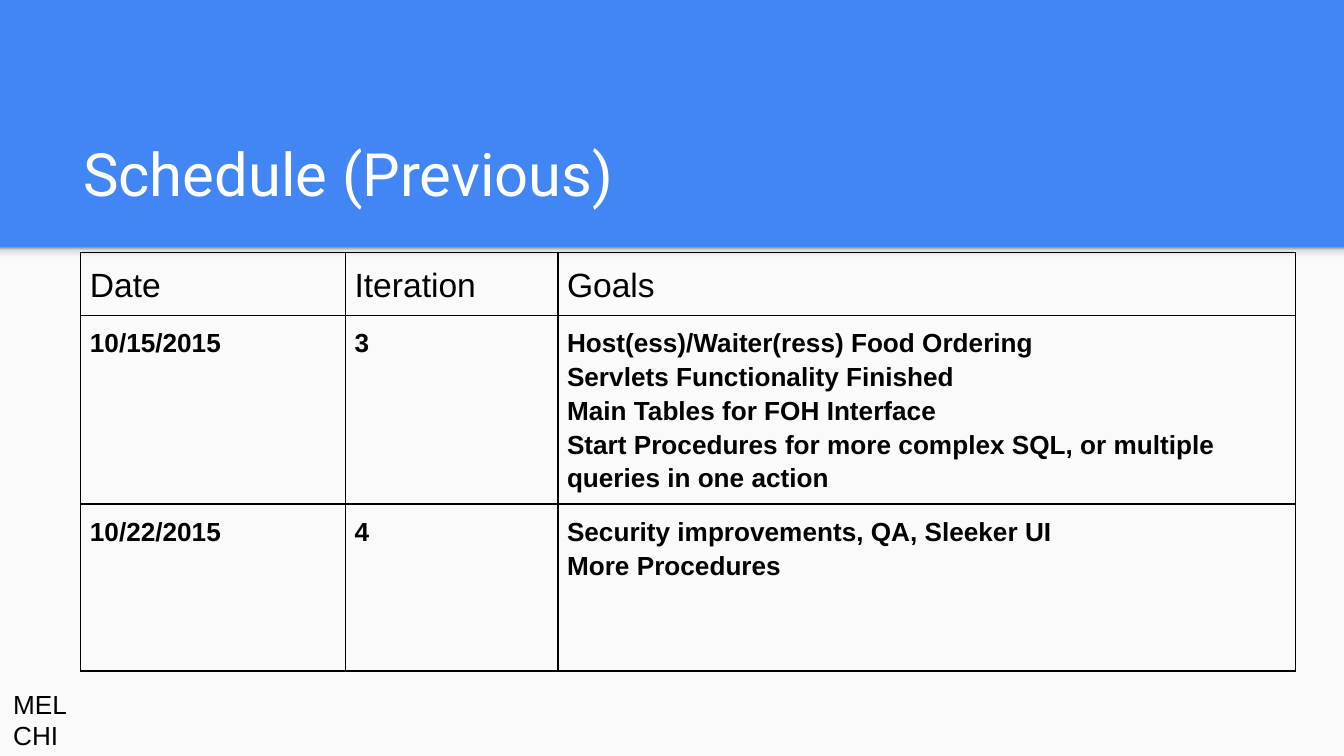
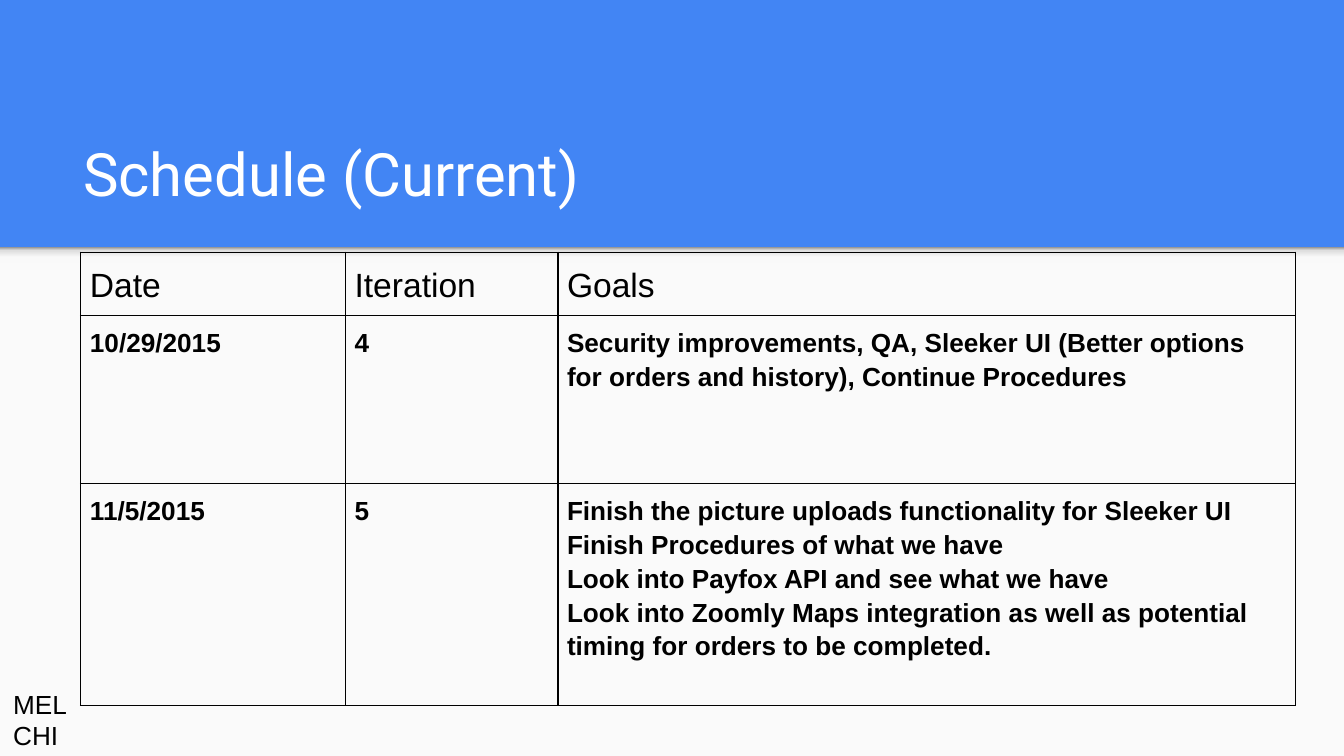
import pptx
import pptx.util
import pptx.dml.color
import pptx.enum.shapes
import pptx.enum.text
import pptx.oxml
import pptx.oxml.ns

Pt = pptx.util.Pt
RGB = pptx.dml.color.RGBColor

HEAD = ("Date", "Iteration", "Goals")
PAGES = [
    {
        "title": "Schedule (Previous)",
        "rows": [
            ("10/15/2015", "3", [
                "Host(ess)/Waiter(ress) Food Ordering",
                "Servlets Functionality Finished",
                "Main Tables for FOH Interface",
                "Start Procedures for more complex SQL, or multiple queries in one action",
            ]),
            ("10/22/2015", "4", [
                "Security improvements, QA, Sleeker UI",
                "More Procedures",
            ]),
        ],
        "tall": (101, 89.5),
    },
    {
        "title": "Schedule (Current)",
        "rows": [
            ("10/29/2015", "4", [
                "Security improvements, QA, Sleeker UI (Better options for orders and history), "
                "Continue Procedures",
            ]),
            ("11/5/2015", "5", [
                "Finish the picture uploads functionality for Sleeker UI",
                "Finish Procedures of what we have",
                "Look into Payfox API and see what we have",
                "Look into Zoomly Maps integration as well as potential timing for orders "
                "to be completed.",
            ]),
        ],
        "tall": (90, 119),
    },
]
TEAM = "MEL CHI"

BLUE = RGB(0x42, 0x85, 0xF4)
PALE = RGB(0xFA, 0xFA, 0xFA)
WHITE = RGB(0xFF, 0xFF, 0xFF)
BLACK = RGB(0, 0, 0)
FADE = [
    (0, RGB(0xF9, 0xF9, 0xF9)),
    (36, RGB(0xF9, 0xF9, 0xF9)),
    (80, RGB(0xDE, 0xDE, 0xDE)),
    (100, RGB(0x99, 0x99, 0x99)),
]

WIDE, HIGH = 720, 405
EDGE = 132.5
COLS = (141.8, 113.8, 395.3)
TOP = 33.8
NS = pptx.oxml.ns.nsdecls("a")


def style(frame, font, size, color, bold=False, space=None):
    for para in frame.paragraphs:
        para.alignment = pptx.enum.text.PP_ALIGN.LEFT
        if space:
            para.line_spacing = space
        for run in para.runs:
            run.font.name = font
            run.font.size = Pt(size)
            run.font.bold = bold
            run.font.color.rgb = color


def inset(part, size):
    part.margin_left = part.margin_right = Pt(size)
    part.margin_top = part.margin_bottom = Pt(size)


def block(slide, high):
    kind = pptx.enum.shapes.MSO_SHAPE.RECTANGLE
    shape = slide.shapes.add_shape(kind, 0, Pt(EDGE), Pt(WIDE), Pt(high))
    shape.shadow.inherit = False
    shape.line.fill.background()
    return shape


def panel(slide):
    sheet = block(slide, HIGH - EDGE)
    sheet.fill.solid()
    sheet.fill.fore_color.rgb = PALE
    band = block(slide, 8.6)
    band.fill.gradient()
    stops = "".join(
        f'<a:gs pos="{pos * 1000}"><a:srgbClr val="{color}"/></a:gs>' for pos, color in FADE
    )
    fill = pptx.oxml.parse_xml(
        f'<a:gradFill {NS} rotWithShape="0"><a:gsLst>{stops}</a:gsLst>'
        '<a:lin ang="16200000" scaled="0"/></a:gradFill>'
    )
    props = band.element.spPr
    props.replace(props.find(pptx.oxml.ns.qn("a:gradFill")), fill)


def heading(slide, text):
    title = slide.shapes.title
    title.left, title.top = Pt(37.4), Pt(58.3)
    title.width, title.height = Pt(647.3), Pt(60.5)
    frame = title.text_frame
    frame.text = text
    frame.word_wrap = True
    frame.auto_size = pptx.enum.text.MSO_AUTO_SIZE.NONE
    frame.vertical_anchor = pptx.enum.text.MSO_ANCHOR.BOTTOM
    inset(frame, 7.2)
    style(frame, "Roboto", 32, WHITE, space=1.2)


def border(cell):
    props = cell._tc.get_or_add_tcPr()
    for spot, side in enumerate(("lnL", "lnR", "lnT", "lnB")):
        props.insert(spot, pptx.oxml.parse_xml(
            f'<a:{side} {NS} w="12700"><a:solidFill><a:srgbClr val="{BLACK}"/>'
            f'</a:solidFill></a:{side}>'
        ))


def grid(slide, rows, tall):
    rows = [HEAD, *rows]
    highs = (TOP, *tall)
    table = slide.shapes.add_table(
        len(rows), len(COLS), Pt(43.2), Pt(135.2), Pt(sum(COLS)), Pt(sum(highs))
    ).table
    table.first_row = table.horz_banding = False
    for col, wide in zip(table.columns, COLS):
        col.width = Pt(wide)
    for y, (row, high) in enumerate(zip(rows, highs)):
        table.rows[y].height = Pt(high)
        for x, text in enumerate(row):
            cell = table.cell(y, x)
            cell.text_frame.text = text if isinstance(text, str) else "\n".join(text)
            cell.fill.background()
            inset(cell, 5)
            style(cell.text_frame, "Arial", 14 if y else 18, BLACK, bold=y > 0, space=1.15)
            border(cell)


def label(slide):
    frame = slide.shapes.add_textbox(0, Pt(361.5), Pt(47.5), Pt(39)).text_frame
    frame.word_wrap = True
    frame.text = TEAM
    inset(frame, 7.2)
    style(frame, "Arial", 14, BLACK)


def main():
    deck = pptx.Presentation()
    deck.slide_width, deck.slide_height = Pt(WIDE), Pt(HIGH)
    back = deck.slide_master.background.fill
    back.solid()
    back.fore_color.rgb = BLUE
    for page in PAGES:
        slide = deck.slides.add_slide(deck.slide_layouts[5])
        panel(slide)
        heading(slide, page["title"])
        grid(slide, page["rows"], page["tall"])
        label(slide)
    deck.save("out.pptx")


if __name__ == "__main__":
    main()
